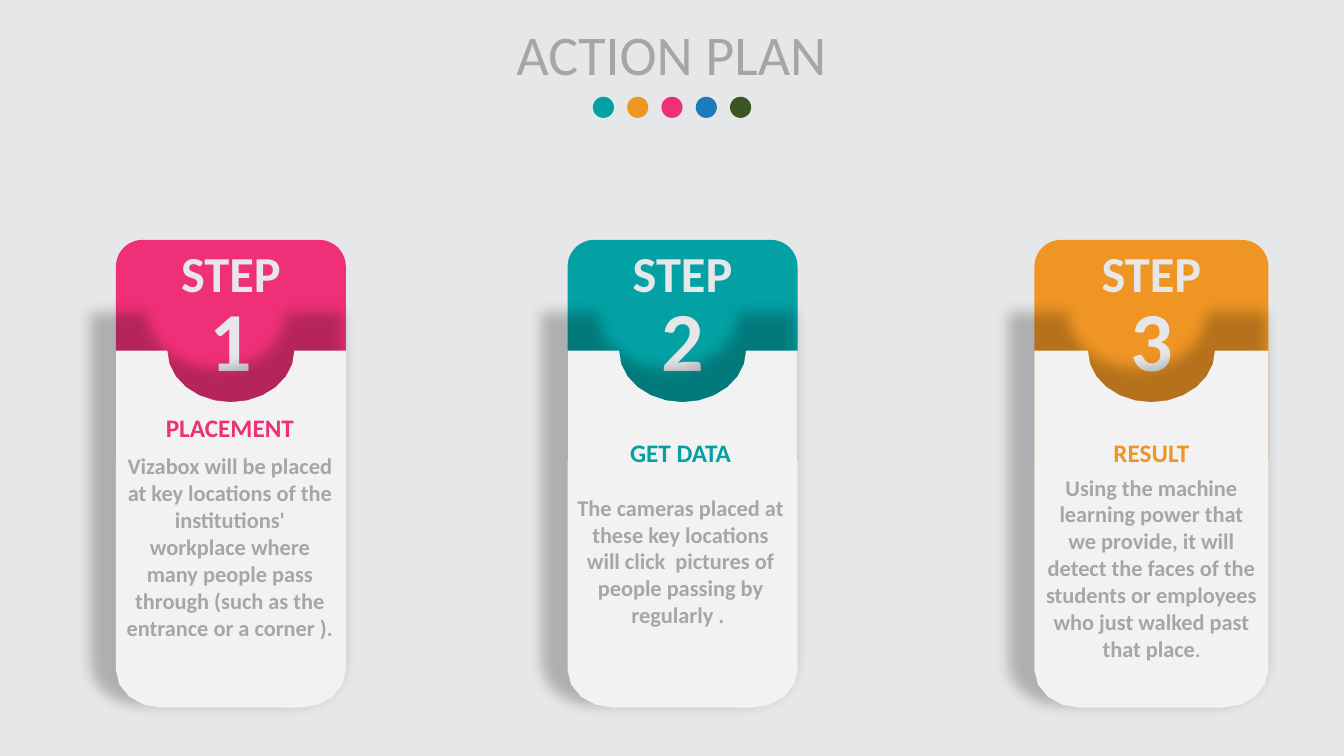
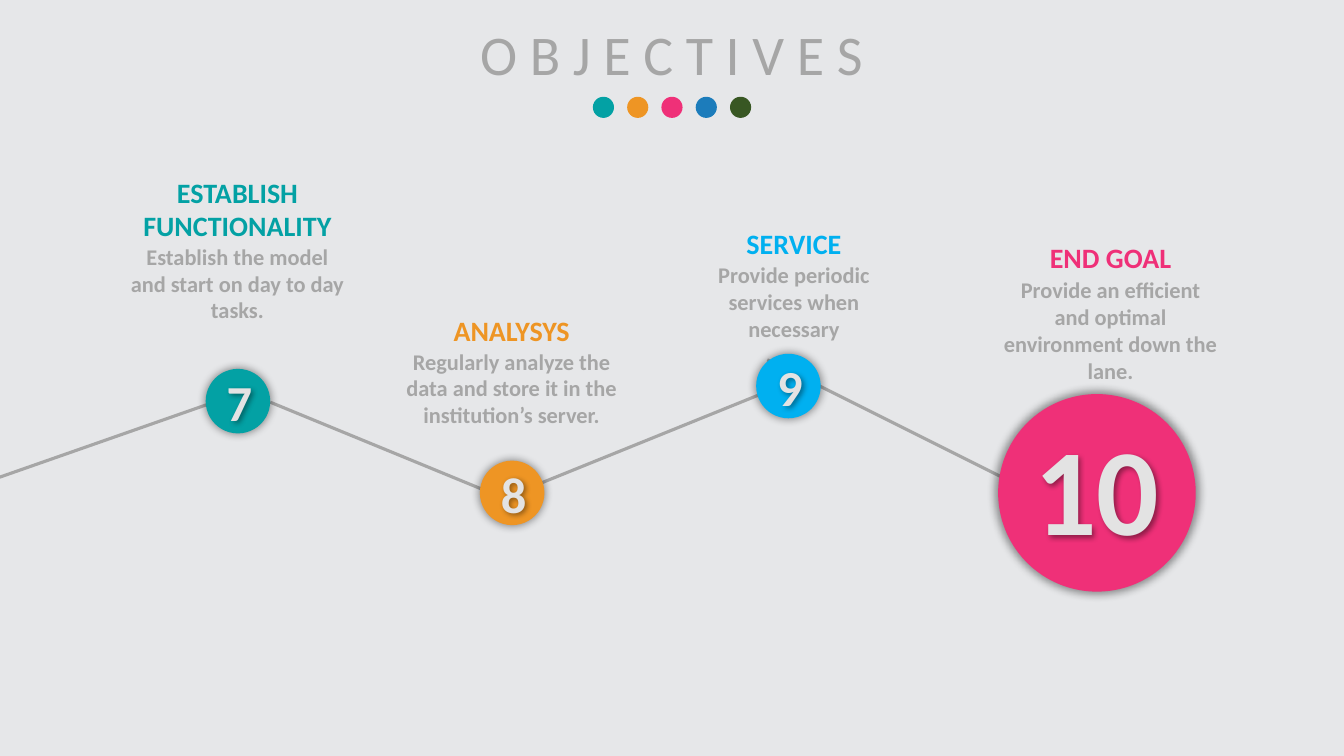
import math
from collections import namedtuple

from lxml import etree
from pptx import Presentation
from pptx import util as u
from pptx.dml.color import RGBColor
from pptx.enum import shapes, text
from pptx.oxml.ns import qn

EMU_PER_PX = 9144  # 100 px to the inch
SLIDE_WIDTH, SLIDE_HEIGHT = 1333, 750

FONT = "Calibri"
BACKGROUND = RGBColor(0xE6, 0xE7, 0xE9)
GRAY = RGBColor(0xA6, 0xA6, 0xA6)
PANEL = RGBColor(0xF2, 0xF2, 0xF2)
NUMBER = RGBColor(0xE3, 0xE3, 0xE3)
TEAL = RGBColor(0x03, 0xA1, 0xA4)
ORANGE = RGBColor(0xEE, 0x95, 0x24)
PINK = RGBColor(0xEF, 0x30, 0x78)
BLUE = RGBColor(0x1C, 0x7C, 0xBB)
GREEN = RGBColor(0x38, 0x57, 0x23)
SKY = RGBColor(0x00, 0xB0, 0xF0)

Card = namedtuple(
    "Card", "left width color number heading text_left heading_top "
            "body_top body_height runs")
Milestone = namedtuple(
    "Milestone", "left top size color number number_box number_size")
Caption = namedtuple(
    "Caption", "left top height color heading body_top body_height body")

CARDS = [
    Card(115, 228, PINK, "1", "PLACEMENT", 114, 404, 444, 226,
         [("Vizabox will be placed at key locations of the institutions' workplace "
           "where many people pass through (such as the entrance or a corner ).", 16)]),
    Card(563, 228, TEAL, "2", "GET DATA", 561, 429, 485, 145,
         [("The cameras placed at these key locations will click  pictures of "
           "people passing by regularly . ", 16)]),
    Card(1026, 232, ORANGE, "3", "RESULT", 1026, 429, 465, 199,
         [("Using the machine learning power that we provide, it will detect the "
           "faces of the students or employees who just walked past that place", 16),
          (".", 14)]),
]

PATH_LINES = [(215, 398, -2, 474), (487, 489, 268, 399),
              (510, 490, 772, 384), (1025, 489, 761, 357)]

MILESTONES = [
    Milestone(990, 391, 196, PINK, "10", (983, 404, 209, 158), 88),
    Milestone(204, 366, 64, TEAL, "7", (215, 363, 42, 71), 36),
    Milestone(476, 457, 64, ORANGE, "8", (487, 454, 42, 71), 36),
    Milestone(750, 351, 64, SKY, "9", (761, 348, 42, 71), 36),
]

CAPTIONS = [
    Caption(985, 234, 44, PINK, "END GOAL", 269, 118,
            "Provide an efficient and optimal environment down the lane."),
    Caption(119, 169, 150, TEAL, "ESTABLISH FUNCTIONALITY", 236, 91,
            "Establish the model and start on day to day tasks."),
    Caption(391, 306, 44, ORANGE, "ANALYSYS", 340, 91,
            "Regularly analyze the data and store it in the institution’s server."),
    Caption(671, 220, 44, SKY, "SERVICE", 254, 91,
            "Provide periodic services when necessary"),
]


def px(length):
    return u.Emu(round(length * EMU_PER_PX))


def px_all(*lengths):
    return [px(length) for length in lengths]


# Basic elements

def style_shape(shape, color):
    shape.shadow.inherit = False
    shape.fill.solid()
    shape.fill.fore_color.rgb = color
    shape.line.fill.background()


def add_shadow(shape, alpha, blur, distance=0, angle=0, scale=100, anchor="ctr"):
    """Outer black shadow; alpha and scale in percent, blur and distance in points."""
    shape.shadow.inherit = False
    effects = shape._element.spPr.find(qn("a:effectLst"))
    shadow = etree.SubElement(
        effects, qn("a:outerShdw"), blurRad=str(u.Pt(blur)), dist=str(u.Pt(distance)),
        dir=str(angle * 60000), sx=str(scale * 1000), sy=str(scale * 1000),
        algn=anchor, rotWithShape="0")
    color = etree.SubElement(shadow, qn("a:srgbClr"), val="000000")
    etree.SubElement(color, qn("a:alpha"), val=str(alpha * 1000))


def add_preset(slide, kind, box, color):
    shape = slide.shapes.add_shape(kind, *px_all(*box))
    style_shape(shape, color)
    return shape


def add_text(slide, box, runs, color, bold=True):
    """Centred text box; runs are (words, size) pairs."""
    shape = slide.shapes.add_textbox(*px_all(*box))
    frame = shape.text_frame
    frame.word_wrap = True
    frame.auto_size = text.MSO_AUTO_SIZE.SHAPE_TO_FIT_TEXT
    paragraph = frame.paragraphs[0]
    paragraph.alignment = text.PP_ALIGN.CENTER
    for words, size in runs:
        run = paragraph.add_run()
        run.text = words
        run.font.name = FONT
        run.font.size = u.Pt(size)
        run.font.bold = bold
        run.font.color.rgb = color
    return shape


def add_line(slide, ends):
    line = slide.shapes.add_connector(shapes.MSO_CONNECTOR.STRAIGHT, *px_all(*ends))
    line.line.color.rgb = GRAY
    line.line.width = u.Pt(2.25)
    etree.SubElement(line._element.spPr, qn("a:effectLst"))


# Shared slide frame

def add_titled_slide(presentation, title):
    slide = presentation.slides.add_slide(presentation.slide_layouts[6])
    add_text(slide, (268, 14, 796, 77), [(title, 40)], GRAY, bold=False)
    for index, color in enumerate((TEAL, ORANGE, PINK, BLUE, GREEN)):
        add_preset(slide, shapes.MSO_SHAPE.OVAL, (588 + 34 * index, 96, 21, 21), color)
    return slide


# Step cards

def arc(center_x, center_y, radius_x, radius_y, start, end, steps):
    """Points on an ellipse; angles in degrees, clockwise from the right."""
    angles = [math.radians(start + (end - start) * step / steps)
              for step in range(steps + 1)]
    return [(center_x + radius_x * math.cos(angle),
             center_y + radius_y * math.sin(angle)) for angle in angles]


def add_notched_panel(slide, left, width):
    top, bottom, right = 348, 702, left + width
    radius_x, radius_y = 45, 37
    points = [(left, top)]
    points += arc(left + width / 2, top, 63, 51, 180, 0, 12)
    points += [(right, top)]
    points += arc(right - radius_x, bottom - radius_y, radius_x, radius_y, 0, 90, 4)
    points += arc(left + radius_x, bottom - radius_y, radius_x, radius_y, 90, 180, 4)
    points = [px_all(*point) for point in points]
    builder = slide.shapes.build_freeform(*points[0], scale=1.0)
    builder.add_line_segments(points[1:], close=True)
    panel = builder.convert_to_shape()
    style_shape(panel, PANEL)
    add_shadow(panel, 23, 10, distance=3, angle=225, scale=110, anchor="br")


def add_card(slide, card):
    left, width = card.left, card.width
    header = add_preset(slide, shapes.MSO_SHAPE.ROUND_2_SAME_RECTANGLE,
                        (left, 238, width, 219), card.color)
    header.adjustments[0] = 0.12
    add_text(slide, (left - 15, 235, width + 30, 76), [("STEP", 36)], BACKGROUND)
    add_text(slide, (left + 50, 280, width - 100, 119), [(card.number, 60)], BACKGROUND)
    add_notched_panel(slide, left, width)
    add_text(slide, (card.text_left, card.heading_top, width, 43),
             [(card.heading, 18)], card.color)
    add_text(slide, (card.text_left, card.body_top, width, card.body_height),
             card.runs, GRAY)


# Timeline

def add_milestone(slide, milestone):
    size = milestone.size
    circle = add_preset(slide, shapes.MSO_SHAPE.OVAL,
                        (milestone.left, milestone.top, size, size), milestone.color)
    add_shadow(circle, 40, 6, scale=103)
    number = add_text(slide, milestone.number_box,
                      [(milestone.number, milestone.number_size)], NUMBER)
    add_shadow(number, 40, 4, distance=2, angle=45)


def add_caption(slide, caption):
    add_text(slide, (caption.left, caption.top, 233, caption.height),
             [(caption.heading, 20)], caption.color)
    add_text(slide, (caption.left, caption.body_top, 233, caption.body_height),
             [(caption.body, 16)], GRAY)


def build_action_plan(presentation):
    slide = add_titled_slide(presentation, "ACTION PLAN")
    for card in CARDS:
        add_card(slide, card)


def build_objectives(presentation):
    slide = add_titled_slide(presentation, "O B J E C T I V E S")
    for ends in PATH_LINES:
        add_line(slide, ends)
    for milestone in MILESTONES:
        add_milestone(slide, milestone)
    for caption in CAPTIONS:
        add_caption(slide, caption)


def main():
    presentation = Presentation()
    presentation.slide_width = px(SLIDE_WIDTH)
    presentation.slide_height = px(SLIDE_HEIGHT)
    fill = presentation.slide_master.background.fill
    fill.solid()
    fill.fore_color.rgb = BACKGROUND
    build_action_plan(presentation)
    build_objectives(presentation)
    presentation.save("out.pptx")


if __name__ == "__main__":
    main()
